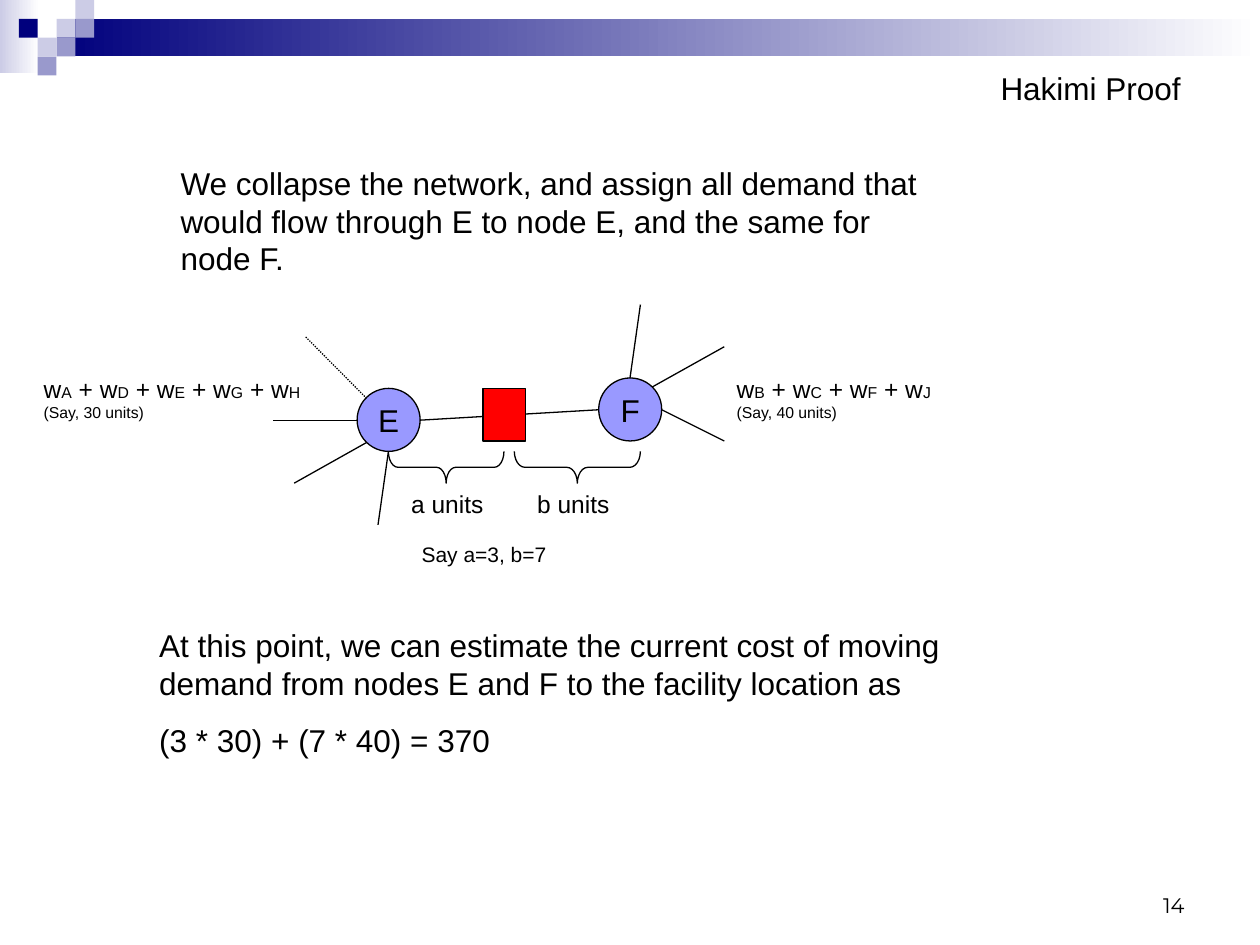
from lxml import etree
from pptx import Presentation
from pptx import util as u
from pptx.dml.color import RGBColor
from pptx.enum import dml, shapes, text
from pptx.oxml import ns

BLACK = RGBColor(0x00, 0x00, 0x00)
WHITE = RGBColor(0xFF, 0xFF, 0xFF)
NAVY = RGBColor(0x00, 0x00, 0x7D)
LAVENDER = RGBColor(0xCC, 0xCC, 0xE6)
MID_BLUE = RGBColor(0x99, 0x99, 0xCC)
NODE_BLUE = RGBColor(0x99, 0x99, 0xFF)
RED = RGBColor(0xFF, 0x00, 0x00)

KIND = shapes.MSO_SHAPE
ALIGN = text.PP_ALIGN
TILE = 0.38
NODE = 1.27


def add_span(para, words, size, font="Arial"):
    span = para.add_run()
    span.text = words
    span.font.size = u.Pt(size)
    span.font.name = font
    span.font.color.rgb = BLACK


def add_shape(page, kind, left, top, width, height, fill=None, outline=False):
    shape = page.shapes.add_shape(
        kind, u.Cm(left), u.Cm(top), u.Cm(width), u.Cm(height))
    shape.shadow.inherit = False
    if fill is None:
        shape.fill.background()
    else:
        shape.fill.solid()
        shape.fill.fore_color.rgb = fill
    if outline:
        shape.line.color.rgb = BLACK
        shape.line.width = u.Pt(0.75)
    else:
        shape.line.fill.background()
    return shape


def add_fade(page, left, top, width, height, start):
    band = add_shape(page, KIND.RECTANGLE, left, top, width, height)
    band.fill.gradient()
    band.fill.gradient_angle = 0
    for stop, color, position in zip(band.fill.gradient_stops, (start, WHITE), (0, 1)):
        stop.color.rgb = color
        stop.position = position


def add_text(page, left, top, width, height, paras, wrap=True, gap=0,
             align=ALIGN.LEFT, font="Arial"):
    """Each paragraph is a list of (words, size) spans."""
    box = page.shapes.add_textbox(u.Cm(left), u.Cm(top), u.Cm(width), u.Cm(height))
    frame = box.text_frame
    frame.word_wrap = wrap
    for index, spans in enumerate(paras):
        para = frame.add_paragraph() if index else frame.paragraphs[0]
        para.alignment = align
        if index and gap:
            para.space_before = u.Pt(gap)
        for words, size in spans:
            add_span(para, words, size, font)
    return frame


def add_line(page, start, end, dotted=False):
    line = page.shapes.add_connector(
        shapes.MSO_CONNECTOR.STRAIGHT, *(u.Cm(value) for value in start + end))
    line.line.color.rgb = BLACK
    line.line.width = u.Pt(0.75)
    if dotted:
        line.line.dash_style = dml.MSO_LINE.ROUND_DOT
    etree.SubElement(line._element.spPr, ns.qn("a:effectLst"))


def add_node(page, name, left, top):
    node = add_shape(page, KIND.OVAL, left, top, NODE, NODE, NODE_BLUE, True)
    frame = node.text_frame
    frame.word_wrap = False
    frame.vertical_anchor = text.MSO_ANCHOR.MIDDLE
    frame.paragraphs[0].alignment = ALIGN.CENTER
    add_span(frame.paragraphs[0], name, 18)


def add_brace(page, left, top, span, depth=0.64):
    """Brace below a stretch, pointing down."""
    brace = add_shape(page, KIND.LEFT_BRACE, left + (span - depth) / 2,
                      top - (span - depth) / 2, depth, span, outline=True)
    brace.rotation = 270
    brace.adjustments[0] = span / 12 / depth


def add_demand(page, left, width, nodes, note):
    """Sum of node weights, with small node letters, above a note."""
    total = []
    for index, node in enumerate(nodes):
        total += [(" + w" if index else "w", 14), (node, 9)]
    add_text(page, left, 7.41, width, 1.25, [total, [(note, 9)]])


def add_header(page):
    add_fade(page, 0, 0, 0.79, 1.47, LAVENDER)
    add_fade(page, 1.14, TILE, 24.26, 0.76, NAVY)
    tiles = [(3, 1, LAVENDER), (4, 0, LAVENDER), (4, 1, MID_BLUE), (2, 2, LAVENDER),
             (1, 1, NAVY), (3, 2, MID_BLUE), (2, 3, MID_BLUE)]
    for column, row, color in tiles:
        add_shape(page, KIND.RECTANGLE, column * TILE, row * TILE, TILE, TILE, color)


def add_network(page):
    add_node(page, "E", 7.2, 7.83)
    add_node(page, "F", 12.07, 7.62)

    # Edge between the nodes, then the edges leading away
    add_line(page, (8.47, 8.47), (12.07, 8.26))
    add_line(page, (7.39, 8.03), (6.15, 6.78), dotted=True)
    for start, end in [
        ((7.39, 8.92), (5.93, 9.74)),
        ((7.83, 9.1), (7.62, 10.58)),
        ((13.34, 8.26), (14.6, 8.89)),
        ((12.7, 7.62), (12.91, 6.14)),
        ((13.15, 7.8), (14.6, 6.99)),
        ((7.2, 8.47), (5.5, 8.47)),
    ]:
        add_line(page, start, end)

    # Facility on the edge
    add_shape(page, KIND.RECTANGLE, 9.74, 7.83, 0.85, 1.06, RED, True)

    # Demand at each node
    add_demand(page, 14.6, 4.45, "BCFJ", "(Say, 40 units)")
    add_demand(page, 0.63, 5.72, "ADEGH", "(Say, 30 units)")

    # Distances to the facility
    for left, span, label_left, label in [(7.83, 2.33, 8.04, "a units"),
                                          (10.37, 2.54, 10.58, "b units")]:
        add_brace(page, left, 9.1, span)
        add_text(page, label_left, 9.74, 1.96, 0.86, [[(label, 14)]], wrap=False)
    add_text(page, 8.25, 10.8, 5.08, 0.76, [[("Say a=3, b=7", 12)]])


def main():
    deck = Presentation()
    deck.slide_width, deck.slide_height = u.Cm(25.4), u.Cm(19.05)
    page = deck.slides.add_slide(deck.slide_layouts[6])

    add_header(page)

    # Page number
    number = add_text(page, 18.2, 17.35, 5.93, 1.27, [[("14", 12)]],
                      align=ALIGN.RIGHT, font="Montserrat")
    number.vertical_anchor = text.MSO_ANCHOR.BOTTOM

    add_network(page)

    # Explanation and title
    add_text(page, 3.39, 3.18, 15.45, 2.54, [[(
        "We collapse the network, and assign all demand that would flow "
        "through E to node E, and the same for node F.", 18)]])
    add_text(page, 2.96, 12.5, 16.3, 2.95, [
        [("At this point, we can estimate the current cost of moving demand "
          "from nodes E and F to the facility location as", 18)],
        [("(3 * 30) + (7 * 40) = 370", 18)]], gap=11.2)
    add_text(page, 19.92, 1.27, 4.14, 1.02, [[("Hakimi Proof", 18)]], wrap=False)

    deck.save("out.pptx")


if __name__ == "__main__":
    main()
